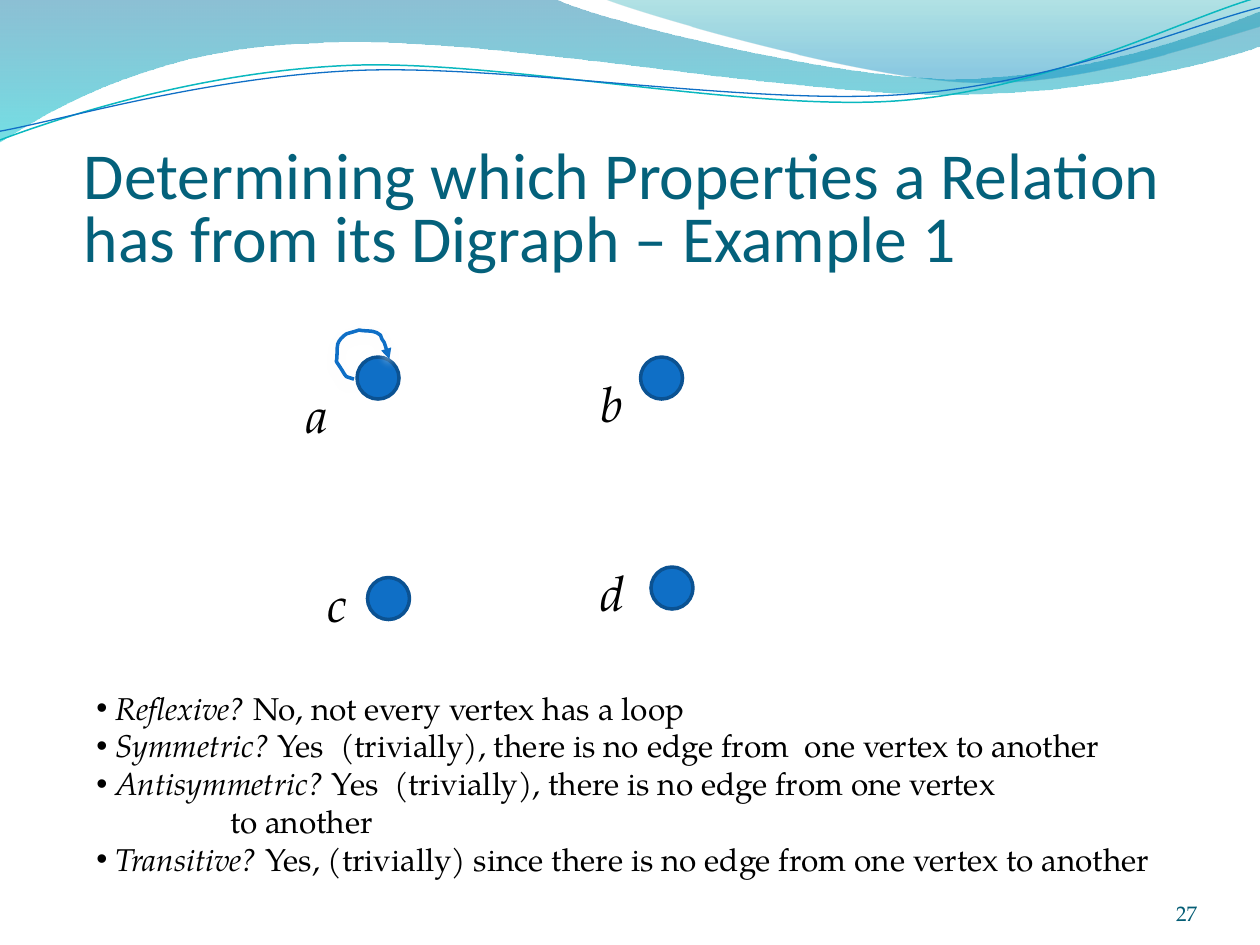
from dataclasses import dataclass

from lxml.etree import SubElement
from pptx import Presentation
from pptx.dml.color import RGBColor
from pptx.enum.shapes import MSO_SHAPE
from pptx.enum.text import MSO_ANCHOR as Anchor, MSO_AUTO_SIZE as AutoSize, PP_ALIGN as Align
from pptx.oxml.ns import qn
from pptx.util import Pt


@dataclass(frozen=True)
class Theme:
    blue: str = "0F6FC6"
    dark_blue: str = "0B5292"
    teal: str = "0AB8BF"
    heading: str = "04617B"
    page: str = "045D75"
    text: str = "000000"
    glow: str = "FFFFFF"
    heading_font: str = "Calibri"
    body_font: str = "TeX Gyre Pagella"
    heading_size: float = 37.5
    label_size: float = 28
    body_size: float = 18
    page_size: float = 12


THEME = Theme()
TITLE = "Determining which Properties a Relation has from its Digraph – Example 1"
CONTINUATION_INDENT = 76.5
DOT_SIZE = 24

# An outline is a start point and segments: one point is a straight line,
# three are the two controls and the end of a Bézier curve.
BANDS = [
    ([(0, 0), [(317, -0.7)],
      [(343, 12), (478, 45), (546, 45)], [(614, 45), (690, 19), (720, 6.5)],
      [(721, 26)],
      [(708, 32), (626, 55), (537, 54)], [(446, 54), (275, 20), (185, 24.5)],
      [(93, 26), (33, 60), (-0.7, 81.4)], [(0, 0)]],
     [(0, "0074A1", 45), (100, "00C6CF", 55)]),
    ([(345, -0.7),
      [(366, 8), (491, 44.6), (554, 46.8)], [(616, 49.7), (692, 23), (720, 15)],
      [(720, 0)], [(345, -0.7)]],
     [(0, "00A1A9", 30), (80, "008BBF", 45)]),
]
WAVES = [
    ([(0, 80), [(34.6, 67), (113.8, 41), (199.4, 37.4)],
      [(284.4, 33.8), (427, 64), (513.4, 57.6)],
      [(599.8, 51.1), (675.4, 10.8), (718.6, -1.4)]], THEME.teal, 0.85),
    ([(0, 75), [(33.8, 69), (118, 44), (203.8, 40.3)],
      [(290.2, 36.7), (429.8, 60.5), (516.2, 54)],
      [(601.9, 48.2), (677.5, 15.1), (720, 4.3)]], THEME.blue, 0.75),
]
LOOP = [(202.3, 216.7), [(196.6, 214.6), (198.7, 216.7), (195.1, 211)],
        [(193.7, 208.8)], [(192.2, 206.6)],
        [(193, 203.8), (192.2, 200.2), (193, 196.6)],
        [(193.7, 194.4), (195.8, 192.2), (198, 190.8)],
        [(200.2, 190.1), (203, 189.4), (205.2, 188.6)],
        [(207.4, 189.4), (212.4, 188.6), (215.3, 190.1)],
        [(216, 190.8), (216.7, 191.2), (217.4, 191.5)],
        [(217.4, 192.2), (218.2, 193), (218.2, 193.7)],
        [(218.9, 194.4), (218.9, 195.1), (219.6, 195.8)],
        [(220.3, 197.3), (220.3, 198.7), (221, 200.2)],
        [(221.8, 202.3)], [(222.5, 204.5), (222.5, 203.8), (222.5, 205.2)]]
# Vertex name, dot corner, label corner
VERTICES = [
    ("a", (204, 204), (168, 216)),
    ("b", (366, 204), (336, 210)),
    ("c", (210, 330), (180, 324)),
    ("d", (372, 324), (336, 318)),
]
PROPERTIES = [
    ("Reflexive?", " No, not every vertex has a loop"),
    ("Symmetric?", " Yes  (trivially), there is no edge from  one vertex to another"),
    ("Antisymmetric?", " Yes  (trivially), there is no edge from one vertex"),
    ("", "to another"),
    ("Transitive?", " Yes, (trivially) since there is no edge from one vertex to another"),
]


def style(run, size, color=THEME.text, font=THEME.body_font, italic=False):
    run.font.size = Pt(size)
    run.font.name = font
    run.font.italic = italic
    run.font.color.rgb = RGBColor.from_string(color)


def add_outline(slide, outline, close):
    """Draw straight lines through all points, then turn each triple into a curve."""
    (x, y), *segments = outline
    builder = slide.shapes.build_freeform(x * 100, y * 100, scale=Pt(1) / 100)
    builder.add_line_segments([(px * 100, py * 100) for s in segments for px, py in s],
                              close=close)
    shape = builder.convert_to_shape()
    shape.shadow.inherit = False
    lines = iter(list(shape._element.spPr.iter(qn("a:lnTo"))))
    for segment in segments:
        first, *others = [next(lines) for _ in segment]
        if others:
            first.addprevious(curve := first.makeelement(qn("a:cubicBezTo")))
            for line in (first, *others):
                curve.append(line[0])
                line.getparent().remove(line)
    return shape


def add_color(parent, color, opacity):
    node = SubElement(parent, qn("a:srgbClr"), val=color)
    SubElement(node, qn("a:alpha"), val=str(opacity * 1000))


def add_band(slide, outline, stops):
    band = add_outline(slide, outline, close=True)
    band.line.fill.background()
    band.fill.gradient()
    gradient = band.fill._xPr.find(qn("a:gradFill"))
    for child in list(gradient):
        gradient.remove(child)
    stop_list = SubElement(gradient, qn("a:gsLst"))
    for position, color, opacity in stops:
        add_color(SubElement(stop_list, qn("a:gs"), pos=str(position * 1000)), color, opacity)
    SubElement(gradient, qn("a:lin"), ang="5400000", scaled="0")


def add_curve(slide, outline, color, width):
    curve = add_outline(slide, outline, close=False)
    curve.fill.background()
    curve.line.color.rgb = RGBColor.from_string(color)
    curve.line.width = Pt(width)
    return curve


def add_loop(slide):
    loop = add_curve(slide, LOOP, THEME.blue, 2)
    SubElement(loop.line._get_or_add_ln(), qn("a:tailEnd"), type="triangle")
    effects = loop._element.spPr.find(qn("a:effectLst"))
    shadow = SubElement(effects, qn("a:outerShdw"), blurRad=str(Pt(4.5)),
                        dist=str(Pt(3)), dir="5400000", rotWithShape="0")
    add_color(shadow, THEME.glow, 48)


def add_dot(slide, corner):
    dot = slide.shapes.add_shape(MSO_SHAPE.OVAL, *map(Pt, (*corner, DOT_SIZE, DOT_SIZE)))
    dot.shadow.inherit = False
    dot.fill.solid()
    dot.fill.fore_color.rgb = RGBColor.from_string(THEME.blue)
    dot.line.color.rgb = RGBColor.from_string(THEME.dark_blue)
    dot.line.width = Pt(2)


def add_text_frame(slide, *box):
    frame = slide.shapes.add_textbox(*map(Pt, box)).text_frame
    frame.word_wrap = True
    return frame


def add_label(slide, name, corner):
    frame = add_text_frame(slide, *corner, 30, 41)
    frame.auto_size = AutoSize.SHAPE_TO_FIT_TEXT
    frame.text = name
    style(frame.paragraphs[0].runs[0], THEME.label_size, italic=True)


def add_properties(slide):
    frame = add_text_frame(slide, 48, 390, 630, 116.6)
    frame.auto_size = AutoSize.SHAPE_TO_FIT_TEXT
    for index, (question, answer) in enumerate(PROPERTIES):
        paragraph = frame.add_paragraph() if index else frame.paragraphs[0]
        properties = paragraph._p.get_or_add_pPr()
        if question:
            SubElement(properties, qn("a:buFont"), typeface="Arial")
            SubElement(properties, qn("a:buChar"), char="•")
            parts = [(" ", False), (question, True), (answer, False)]
        else:
            properties.set("marL", str(Pt(CONTINUATION_INDENT)))
            parts = [(answer, False)]
        for words, italic in parts:
            run = paragraph.add_run()
            run.text = words
            style(run, THEME.body_size, italic=italic)


def set_title(slide):
    title = slide.shapes.title
    slide.shapes._spTree.append(title._element)
    title.left, title.top, title.width, title.height = map(Pt, (48, 67.5, 648, 90))
    frame = title.text_frame
    frame.text = TITLE
    frame.word_wrap = True
    frame.auto_size = AutoSize.NONE
    frame.vertical_anchor = Anchor.BOTTOM
    frame.margin_left = frame.margin_right = frame.margin_bottom = 0
    heading = frame.paragraphs[0]
    heading.alignment = Align.LEFT
    heading.line_spacing = 0.8
    style(heading.runs[0], THEME.heading_size, THEME.heading, THEME.heading_font)


def add_page_number(slide, number):
    frame = add_text_frame(slide, 624, 500.2, 60, 28.8)
    frame.margin_left = frame.margin_right = frame.margin_top = frame.margin_bottom = 0
    frame.vertical_anchor = Anchor.BOTTOM
    frame.text = number
    frame.paragraphs[0].alignment = Align.RIGHT
    style(frame.paragraphs[0].runs[0], THEME.page_size, THEME.page)


def main():
    deck = Presentation()
    deck.slide_width, deck.slide_height = Pt(720), Pt(540)
    slide = deck.slides.add_slide(deck.slide_layouts[5])
    for outline, stops in BANDS:
        add_band(slide, outline, stops)
    for outline, color, width in WAVES:
        add_curve(slide, outline, color, width)
    for _, dot_corner, _ in VERTICES:
        add_dot(slide, dot_corner)
    add_properties(slide)
    add_loop(slide)
    for name, _, label_corner in VERTICES:
        add_label(slide, name, label_corner)
    set_title(slide)
    add_page_number(slide, "27")
    deck.save("out.pptx")


if __name__ == "__main__":
    main()
